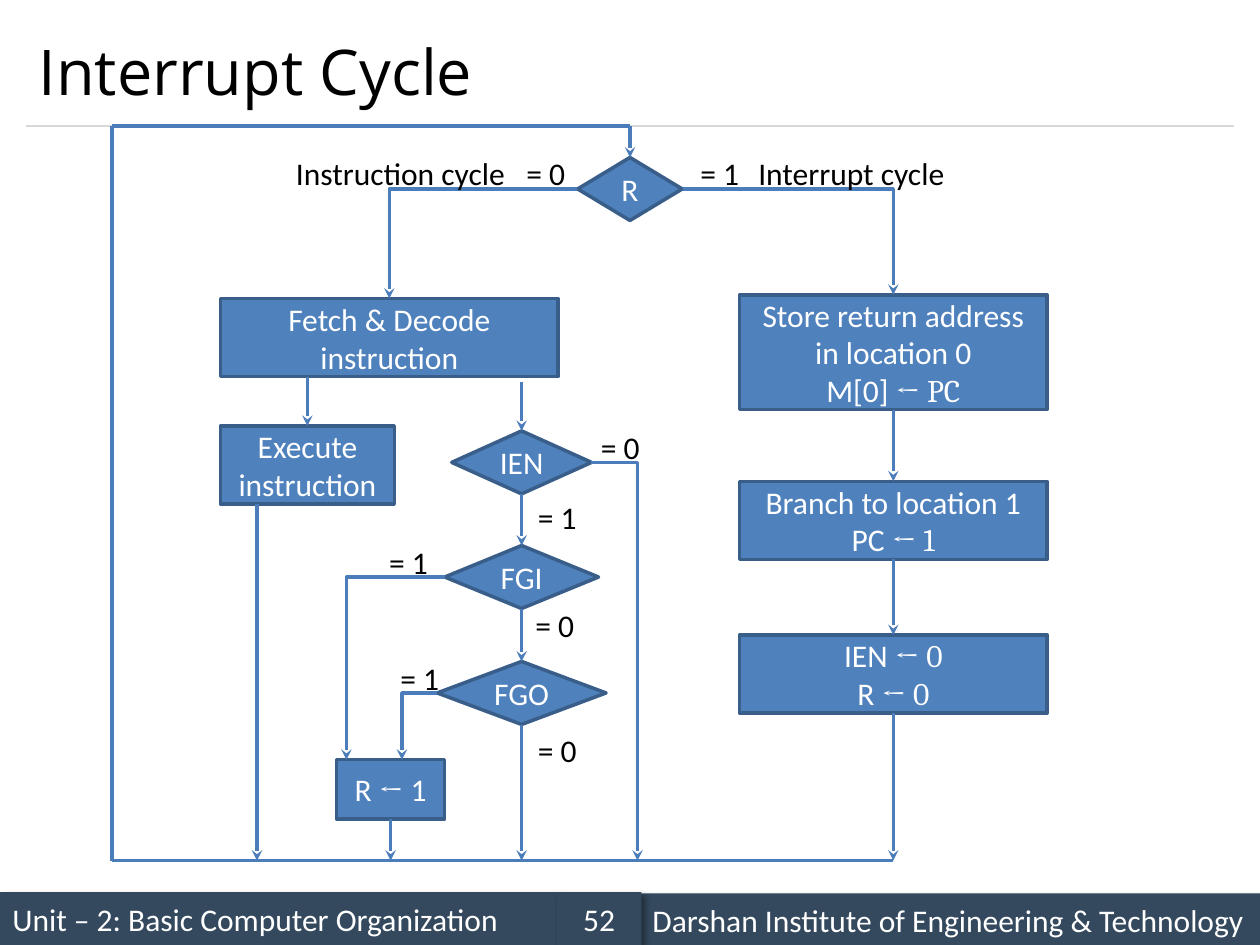
from dataclasses import dataclass
from lxml import etree
from pptx import Presentation
from pptx.dml.color import RGBColor
from pptx.enum.shapes import MSO_CONNECTOR, MSO_SHAPE
from pptx.enum.text import MSO_ANCHOR, PP_ALIGN
from pptx.oxml.ns import qn
from pptx.util import Inches, Pt

BOX, RHOMB = MSO_SHAPE.RECTANGLE, MSO_SHAPE.FLOWCHART_DECISION
STRAIGHT, ELBOW = MSO_CONNECTOR.STRAIGHT, MSO_CONNECTOR.ELBOW
LEFT, MID = PP_ALIGN.LEFT, PP_ALIGN.CENTER
HIGH, CORE = MSO_ANCHOR.TOP, MSO_ANCHOR.MIDDLE
TOP, LOW = 0, 2


@dataclass(frozen=True)
class Theme:
    ink: str = "000000"
    pale: str = "FFFFFF"
    fill: str = "4F81BD"
    edge: str = "395E89"
    wire: str = "4A7DBA"
    bar: str = "34495E"
    rule: str = "D8D8D8"
    body: str = "Calibri"
    math: str = "Cambria"
    head: str = "Open Sans"
    size: float = 18
    big: float = 36
    line: float = 2
    hair: float = 0.75


class Chart:
    COLS, ROWS = 100, 75

    def __init__(self, deck, theme):
        self.theme = theme
        self.wide, self.tall = deck.slide_width, deck.slide_height
        self.slide = deck.slides.add_slide(deck.slide_layouts[6])
        self.shapes = self.slide.shapes

    def x(self, col):
        return round(self.wide * col / self.COLS)

    def y(self, row):
        return round(self.tall * row / self.ROWS)

    def area(self, col, row, cols, rows):
        return self.x(col), self.y(row), self.x(cols), self.y(rows)

    def words(self, shape, text, tint, align, anchor, size=None, face=None):
        frame = shape.text_frame
        frame.word_wrap = True
        frame.vertical_anchor = anchor
        for i, line in enumerate(text.split("\n")):
            para = frame.paragraphs[0] if i == 0 else frame.add_paragraph()
            para.alignment = align
            para.font.name = face or self.theme.body
            para.font.size = Pt(size or self.theme.size)
            para.font.color.rgb = RGBColor.from_string(tint)
            for j, part in enumerate(line.split("|")):
                run = para.add_run()
                run.text = part
                if j % 2:
                    run.font.name = self.theme.math

    def label(self, text, col, row, cols=5.1, rows=4, anchor=HIGH, **font):
        box = self.shapes.add_textbox(*self.area(col, row, cols, rows))
        self.words(box, text, self.theme.ink, LEFT, anchor, **font)

    def solid(self, kind, text, place, tint, align):
        shape = self.shapes.add_shape(kind, *self.area(*place))
        shape.shadow.inherit = False
        shape.fill.solid()
        shape.fill.fore_color.rgb = RGBColor.from_string(tint)
        self.words(shape, text, self.theme.pale, align, CORE)
        return shape

    def node(self, text, *place, kind=BOX):
        shape = self.solid(kind, text, place, self.theme.fill, MID)
        shape.line.color.rgb = RGBColor.from_string(self.theme.edge)
        shape.line.width = Pt(self.theme.line)
        return shape

    def test(self, text, mid, row, cols):
        return self.node(text, mid - cols / 2, row, cols, 5, kind=RHOMB)

    def foot(self, text, col, row, cols, align=LEFT):
        shape = self.solid(BOX, text, (col, row, cols, 4.2), self.theme.bar, align)
        shape.line.fill.background()
        glow = etree.SubElement(
            shape._element.spPr.find(qn("a:effectLst")), qn("a:outerShdw"),
            blurRad=str(Pt(4)), dist=str(Pt(3)), dir=str(45 * 60000),
            algn="tl", rotWithShape="0")
        tone = etree.SubElement(glow, qn("a:srgbClr"), val=self.theme.ink)
        etree.SubElement(tone, qn("a:alpha"), val="40000")

    def wire(self, start, end, kind=STRAIGHT, tip=True, tint=None, width=None):
        (a, b), (c, d) = start, end
        line = self.shapes.add_connector(
            kind, self.x(a), self.y(b), self.x(c), self.y(d))
        line.line.color.rgb = RGBColor.from_string(tint or self.theme.wire)
        line.line.width = Pt(width or self.theme.line)
        prop = line._element.spPr
        if tip:
            etree.SubElement(prop.find(qn("a:ln")), qn("a:tailEnd"), type="stealth")
        etree.SubElement(prop, qn("a:effectLst"))
        return line

    def turn(self, start, end):
        line = self.wire(start, end, ELBOW)
        line._element.spPr.find(qn("a:prstGeom")).set("prst", "bentConnector2")

    def drop(self, col, top, low, src=None, dst=None):
        line = self.wire((col, top), (col, low))
        if src:
            line.begin_connect(src, LOW)
        if dst:
            line.end_connect(dst, TOP)


def main():
    deck = Presentation()
    deck.slide_width, deck.slide_height = Inches(10), Inches(7.5)
    theme = Theme()
    art = Chart(deck, theme)

    art.foot("Unit – 2: Basic Computer Organization", 0, 70.8, 44.2)
    art.wire((2.1, 10), (97.9, 10), tip=False, tint=theme.rule, width=theme.hair)
    art.foot("Darshan Institute of Engineering & Technology", 50.8, 70.9, 49.2)
    art.foot("52", 44.2, 70.8, 6.7, MID)
    art.label("Interrupt Cycle", 2.1, 1.2, 95.8, 8.8, CORE,
              size=theme.big, face=theme.head)

    axis, main_x, side, base, back = 50, 41.4, 70.9, 68.3, 8.9
    flag = art.test("R", axis, 12.5, 8.3)
    art.node("Fetch & Decode instruction", 17.5, 23.7, 26.8, 6.2)
    run = art.node("Execute instruction", 17.5, 33.8, 13.8, 6.2)
    ien = art.test("IEN", main_x, 34.2, 11.1)
    fgi = art.test("FGI", main_x, 43.3, 12.2)
    fgo = art.test("FGO", main_x, 52.5, 13.4)
    mark = art.node("R |←| 1", 26.7, 60.3, 8.6, 4.7)
    store, jump, clear = [
        art.node(text, side - 12.2, row, 24.4, rows)
        for text, row, rows in (
            ("Store return address in location 0\nM[0] |← PC", 23.4, 9.1),
            ("Branch to location 1\nPC |← 1", 38.2, 6.2),
            ("IEN |← 0\nR |← 0", 50.4, 6.2))]

    for col, top, low, src, dst in (
            (main_x, 30.3, 34.2, None, ien),
            (main_x, 39.2, 43.3, ien, fgi),
            (main_x, 48.3, 52.5, fgi, fgo),
            (main_x, 57.5, base, fgo, None),
            (side, 32.5, 38.2, store, jump),
            (side, 44.4, 50.4, jump, clear),
            (side, 56.6, base, clear, None),
            (24.4, 29.9, 33.8, None, run),
            (20.4, 40, base, None, None),
            (31, 65, base, mark, None),
            (axis, 10, 12.5, None, flag)):
        art.drop(col, top, low, src, dst)

    for start, end in (
            ((45.8, 15), (30.9, 23.7)),
            ((54.2, 15), (side, 23.4)),
            ((46.9, 36.7), (50.6, base)),
            ((35.3, 45.8), (27.5, 60.3)),
            ((34.7, 55), (31.9, 60.3))):
        art.turn(start, end)

    loop = ((side, base), (back, base), (back, 10), (axis, 10))
    for start, end in zip(loop, loop[1:]):
        art.wire(start, end, tip=False)

    for text, col, row in (
            ("= 0", 40.8, 11.7), ("= 1", 54.6, 11.7),
            ("= 1", 41.7, 39), ("= 0", 46.7, 33.5),
            ("= 1", 29.9, 42.6), ("= 0", 41.5, 47.6),
            ("= 1", 30.8, 51.8), ("= 0", 41.7, 57.5)):
        art.label(text, col, row)
    art.label("Interrupt cycle", 59.2, 11.7, 16.9)
    art.label("Instruction cycle", 22.5, 11.7, 18.8)
    deck.save("out.pptx")


if __name__ == "__main__":
    main()
